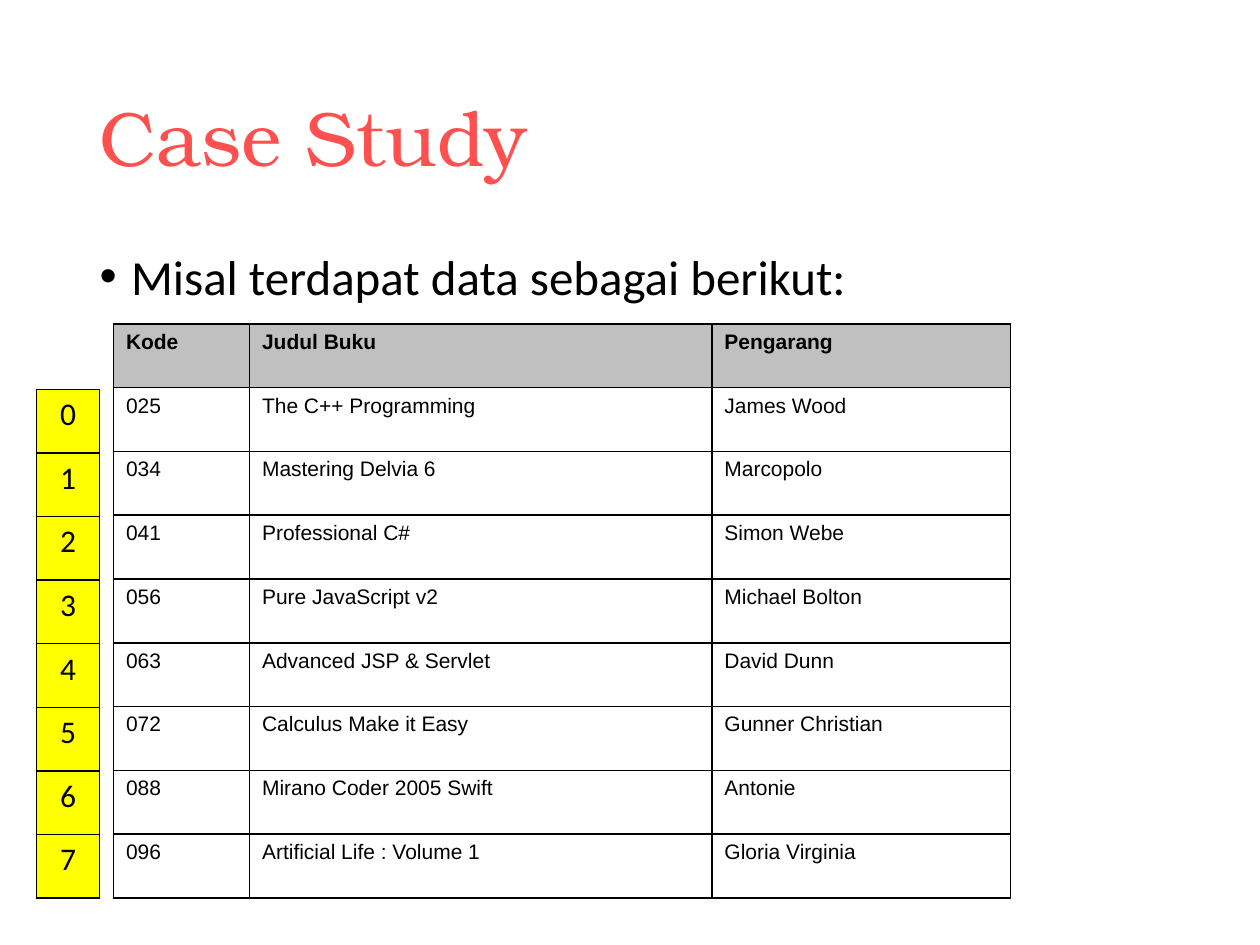
from lxml.etree import SubElement
from pptx import Presentation
from pptx.dml.color import RGBColor
from pptx.enum.text import MSO_ANCHOR, MSO_AUTO_SIZE, PP_ALIGN
from pptx.oxml.ns import qn
from pptx.util import Inches, Pt

COLORS = {
    "title": "FF5050",
    "text": "000000",
    "border": "000000",
    "header": "C0C0C0",
    "index": "FFFF00",
}
BOOKS = [
    ("Kode", "Judul Buku", "Pengarang"),
    ("025", "The C++ Programming", "James Wood"),
    ("034", "Mastering Delvia 6", "Marcopolo"),
    ("041", "Professional C#", "Simon Webe"),
    ("056", "Pure JavaScript v2", "Michael Bolton"),
    ("063", "Advanced JSP & Servlet", "David Dunn"),
    ("072", "Calculus Make it Easy", "Gunner Christian"),
    ("088", "Mirano Coder 2005 Swift", "Antonie"),
    ("096", "Artificial Life : Volume 1", "Gloria Virginia"),
]


def format_text(paragraph, font_name, size, color, bold=False):
    for run in paragraph.runs:
        run.font.name = font_name
        run.font.size = Pt(size)
        run.font.bold = bold
        run.font.color.rgb = RGBColor.from_string(COLORS[color])


def set_indent(paragraph, left):
    properties = paragraph._p.get_or_add_pPr()
    properties.set("marL", str(Inches(left)))
    properties.set("indent", str(-Inches(left)))


def fill_placeholder(placeholder, text, top, height, anchor, line_spacing):
    placeholder.left, placeholder.top = Inches(0.69), Inches(top)
    placeholder.width, placeholder.height = Inches(8.62), Inches(height)
    frame = placeholder.text_frame
    frame.text = text
    frame.auto_size = MSO_AUTO_SIZE.NONE
    frame.vertical_anchor = anchor
    paragraph = frame.paragraphs[0]
    paragraph.alignment = PP_ALIGN.LEFT
    paragraph.line_spacing = line_spacing
    return paragraph


def add_borders(cell):
    properties = cell._tc.get_or_add_tcPr()
    for side in ("a:lnL", "a:lnR", "a:lnT", "a:lnB"):
        line = SubElement(properties, qn(side), w=str(Pt(1)))
        fill = SubElement(line, qn("a:solidFill"))
        SubElement(fill, qn("a:srgbClr"), val=COLORS["border"])


def fill_cell(cell, text, color):
    cell.text = text
    add_borders(cell)
    if color:
        cell.fill.solid()
        cell.fill.fore_color.rgb = RGBColor.from_string(COLORS[color])
    else:
        cell.fill.background()
    return cell.text_frame.paragraphs[0]


def add_grid(slide, left, top, widths, height, row_count):
    frame = slide.shapes.add_table(
        row_count, len(widths), Inches(left), Inches(top),
        Inches(sum(widths)), Inches(height),
    )
    table = frame.table
    table.first_row = False
    table.horz_banding = False
    for column, width in zip(table.columns, widths):
        column.width = Inches(width)
    for row in table.rows:
        row.height = Inches(height / row_count)
    return table


def add_book_table(slide):
    table = add_grid(slide, 0.9, 2.57, [1.08, 3.67, 2.37], 4.56, len(BOOKS))
    for row_number, book in enumerate(BOOKS):
        is_header = row_number == 0
        for column_number, text in enumerate(book):
            cell = table.cell(row_number, column_number)
            paragraph = fill_cell(cell, text, "header" if is_header else None)
            paragraph.alignment = PP_ALIGN.JUSTIFY
            set_indent(paragraph, 0.38)
            format_text(paragraph, "Arial", 12, "text", bold=is_header)


def add_index_table(slide):
    row_count = len(BOOKS) - 1
    table = add_grid(slide, 0.29, 3.09, [0.5], 4.04, row_count)
    for number in range(row_count):
        paragraph = fill_cell(table.cell(number, 0), str(number), "index")
        paragraph.alignment = PP_ALIGN.CENTER
        format_text(paragraph, "Calibri", 18, "text")


def main():
    presentation = Presentation()
    presentation.slide_width = Inches(10)
    presentation.slide_height = Inches(7.5)
    slide = presentation.slides.add_slide(presentation.slide_layouts[1])

    title = fill_placeholder(
        slide.shapes.title, "Case Study", 0.4, 1.45, MSO_ANCHOR.MIDDLE, 0.9
    )
    format_text(title, "TeX Gyre Bonum", 44, "title")

    body = fill_placeholder(
        slide.placeholders[1], "Misal terdapat data sebagai berikut:",
        2, 4.76, MSO_ANCHOR.TOP, 0.8,
    )
    body.space_before = Pt(10)
    set_indent(body, 0.25)
    format_text(body, "Calibri", 28, "text")

    add_book_table(slide)
    add_index_table(slide)
    presentation.save("out.pptx")


if __name__ == "__main__":
    main()
